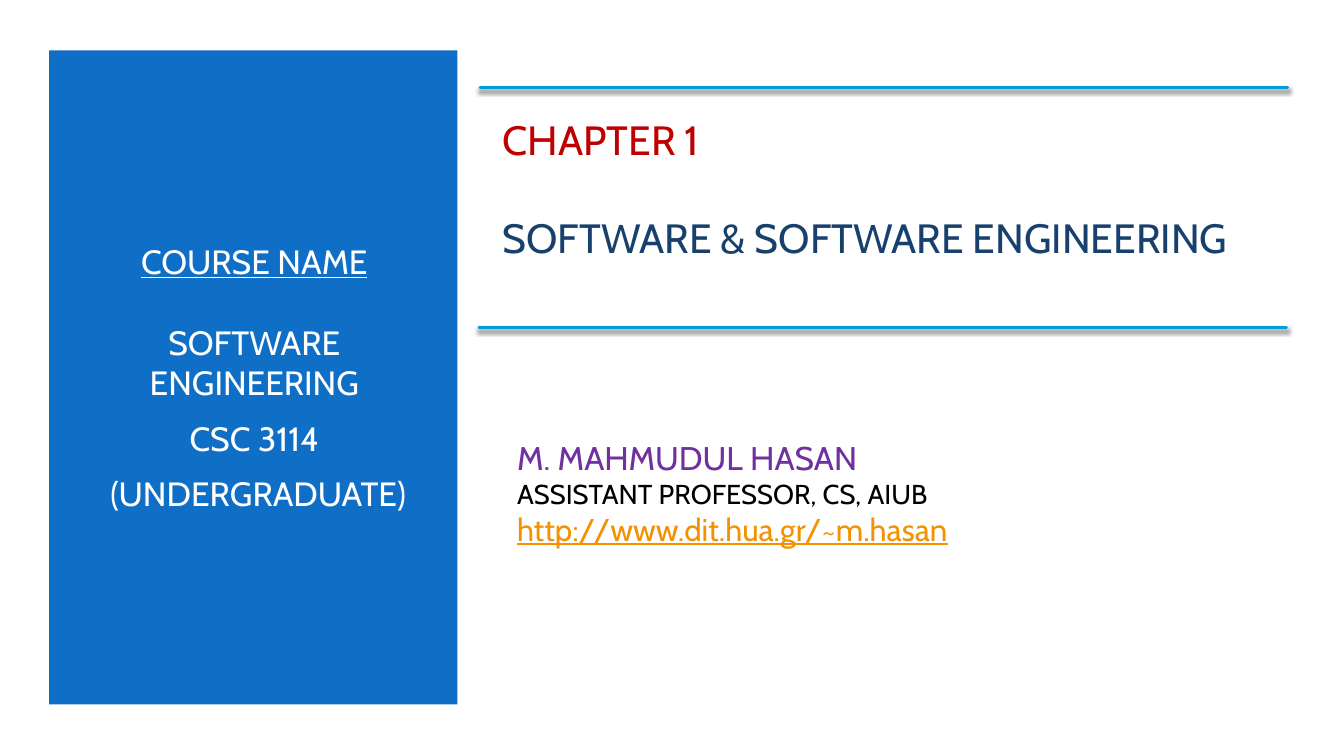
import lxml.etree
import pptx
import pptx.dml.color
import pptx.enum.shapes
import pptx.enum.text
import pptx.oxml.ns
import pptx.util
from pptx.util import Cm

WHITE = pptx.dml.color.RGBColor(0xFF, 0xFF, 0xFF)
BLACK = pptx.dml.color.RGBColor(0x00, 0x00, 0x00)
PANEL_BLUE = pptx.dml.color.RGBColor(0x0F, 0x6F, 0xC6)
RULE_BLUE = pptx.dml.color.RGBColor(0x00, 0x9D, 0xD9)
NAVY = pptx.dml.color.RGBColor(0x17, 0x40, 0x6D)
RED = pptx.dml.color.RGBColor(0xC0, 0x00, 0x00)
PURPLE = pptx.dml.color.RGBColor(0x70, 0x30, 0xA0)
ORANGE = pptx.dml.color.RGBColor(0xF4, 0x91, 0x00)
LEFT = pptx.enum.text.PP_ALIGN.LEFT
CENTER = pptx.enum.text.PP_ALIGN.CENTER


def add_text(frame, text, size, color, align=LEFT, underline=False, after=0):
    """Fill the frame's empty first paragraph, or append a new one."""
    first = frame.paragraphs[0]
    para = frame.add_paragraph() if first.runs else first
    para.alignment = align
    para.space_before = pptx.util.Pt(0)
    para.space_after = pptx.util.Pt(after)
    span = para.add_run()
    span.text = text
    span.font.name = "Cabin"
    span.font.size = pptx.util.Pt(size)
    span.font.color.rgb = color
    span.font.underline = underline


def add_frame(page, left, top, width, height):
    box = page.shapes.add_textbox(Cm(left), Cm(top), Cm(width), Cm(height))
    box.text_frame.word_wrap = True
    box.text_frame.vertical_anchor = pptx.enum.text.MSO_ANCHOR.MIDDLE
    return box.text_frame


deck = pptx.Presentation()
deck.slide_width, deck.slide_height = Cm(33.87), Cm(19.05)
page = deck.slides.add_slide(deck.slide_layouts[6])

panel = page.shapes.add_shape(
    pptx.enum.shapes.MSO_SHAPE.RECTANGLE, Cm(1.24), Cm(1.27), Cm(10.29), Cm(16.48)
)
panel.shadow.inherit = False
panel.fill.solid()
panel.fill.fore_color.rgb = PANEL_BLUE
panel.line.fill.background()

course = add_frame(page, 2.13, 2.83, 8.56, 13.34)
for text, underline, after in [
    ("COURSE NAME", True, 29),
    ("SOFTWARE ENGINEERING", False, 11),
    ("CSC 3114", False, 11),
    (" (UNDERGRADUATE)", False, 0),
]:
    add_text(course, text, 24, WHITE, align=CENTER, underline=underline, after=after)

title = add_frame(page, 12.42, 2.81, 19.94, 3.84)
add_text(title, "CHAPTER 1", 29.2, RED, after=35)
add_text(title, "SOFTWARE & SOFTWARE ENGINEERING", 29.2, NAVY)

author = add_frame(page, 12.78, 10.43, 16.92, 3.96)
add_text(author, "M. MAHMUDUL HASAN", 23.4, PURPLE)
add_text(author, "ASSISTANT PROFESSOR, CS, AIUB", 19.5, BLACK)
add_text(author, "http://www.dit.hua.gr/~m.hasan", 22.4, ORANGE, underline=True)

for left, top in [(12.1, 2.21), (12.07, 8.26)]:
    rule = page.shapes.add_connector(
        pptx.enum.shapes.MSO_CONNECTOR.STRAIGHT,
        Cm(left), Cm(top), Cm(left + 20.35), Cm(top),
    )
    rule.line.color.rgb = RULE_BLUE
    rule.line.width = pptx.util.Pt(2)
    rule.line._get_or_add_ln().set("cap", "rnd")
    effects = lxml.etree.SubElement(rule._element.spPr, pptx.oxml.ns.qn("a:effectLst"))
    shadow = lxml.etree.SubElement(
        effects, pptx.oxml.ns.qn("a:outerShdw"),
        blurRad=str(pptx.util.Pt(3)), dist=str(pptx.util.Pt(2)),
        dir=str(90 * 60000), rotWithShape="0",
    )
    tint = lxml.etree.SubElement(shadow, pptx.oxml.ns.qn("a:srgbClr"), val=str(BLACK))
    lxml.etree.SubElement(tint, pptx.oxml.ns.qn("a:alpha"), val="55000")

deck.save("out.pptx")
